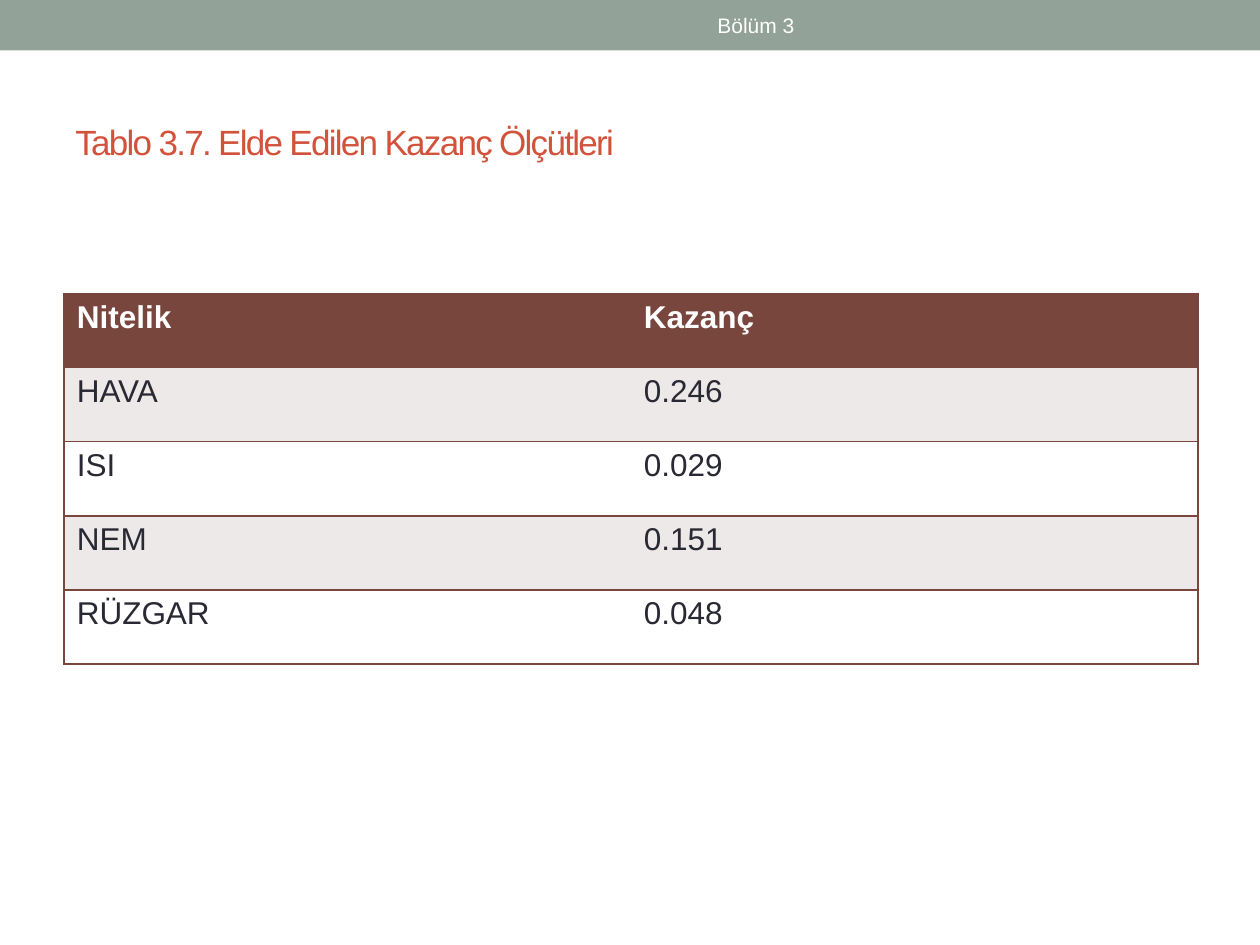
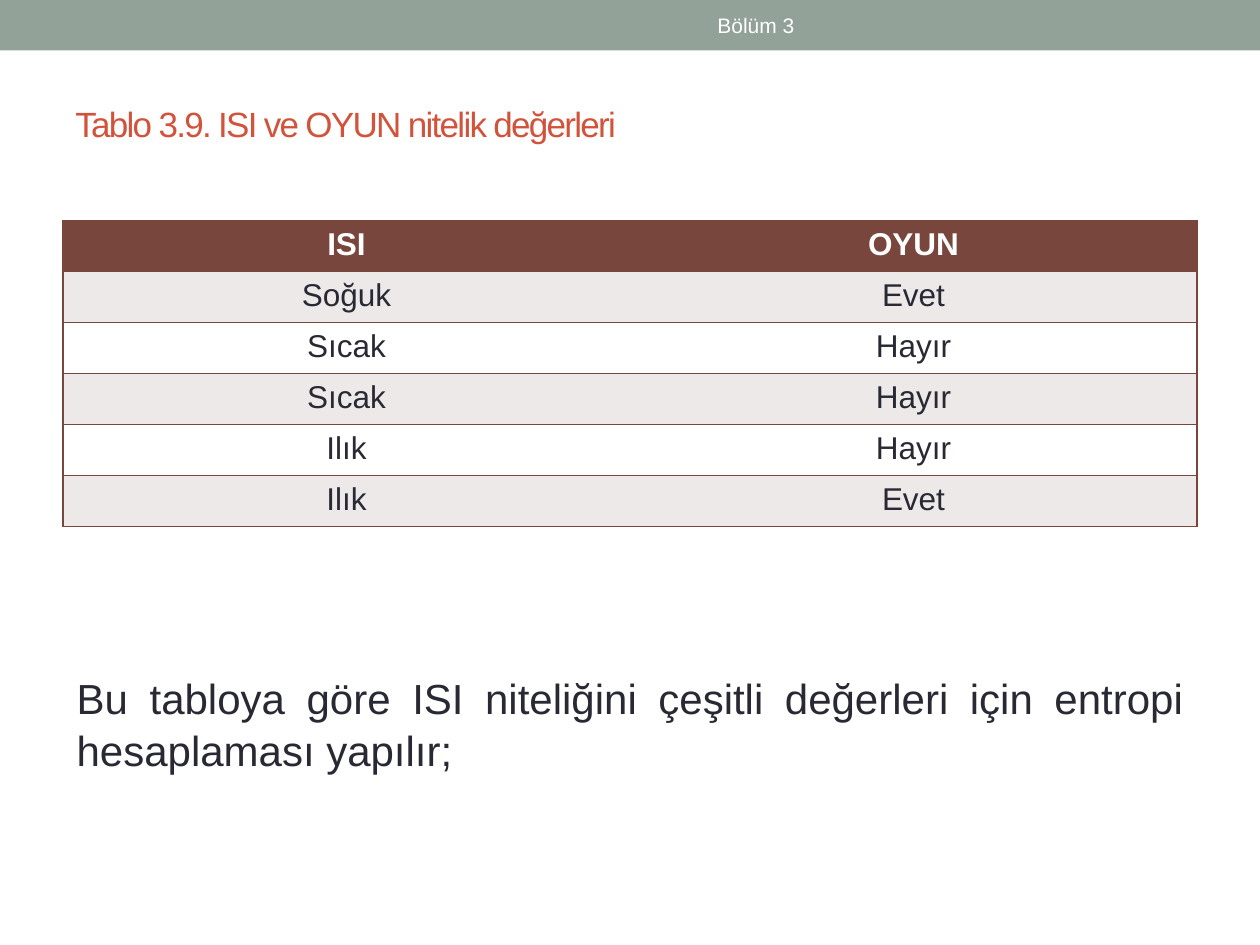
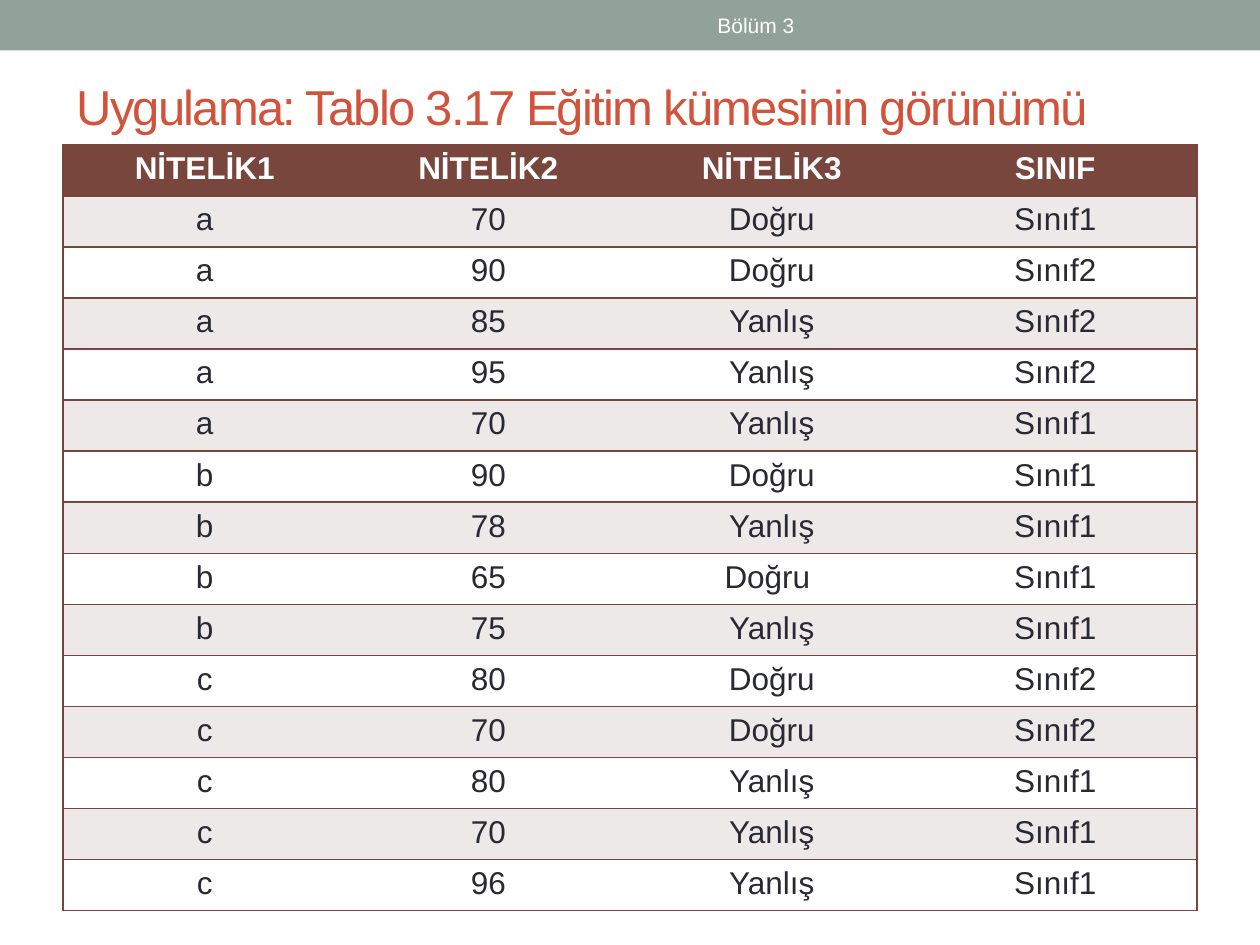
import dataclasses

import lxml.etree
import pptx
import pptx.dml.color
import pptx.enum.shapes
import pptx.enum.text
import pptx.oxml.ns
import pptx.util

Inches = pptx.util.Inches
ALIGN = pptx.enum.text.PP_ALIGN
ANCHOR = pptx.enum.text.MSO_ANCHOR


@dataclasses.dataclass(frozen=True)
class Theme:
    font: str = "Arial"
    band: str = "93A299"
    title: str = "D2533C"
    text: str = "292934"
    header: str = "79463D"
    stripe: str = "ECE9E8"
    white: str = "FFFFFF"
    section_size: int = 12
    cell_size: int = 18
    caption_size: int = 20
    body_size: int = 24
    heading_size: int = 28


THEME = Theme()

GAINS = [
    ("Nitelik", "Kazanç"),
    ("HAVA", "0.246"),
    ("ISI", "0.029"),
    ("NEM", "0.151"),
    ("RÜZGAR", "0.048"),
]

TEMPERATURES = [
    ("ISI", "OYUN"),
    ("Soğuk", "Evet"),
    ("Sıcak", "Hayır"),
    ("Sıcak", "Hayır"),
    ("Ilık", "Hayır"),
    ("Ilık", "Evet"),
]

TRAINING_SET = [
    ("NİTELİK1", "NİTELİK2", "NİTELİK3", "SINIF"),
    ("a", "70", "Doğru", "Sınıf1"),
    ("a", "90", "Doğru", "Sınıf2"),
    ("a", "85", "Yanlış", "Sınıf2"),
    ("a", "95", "Yanlış", "Sınıf2"),
    ("a", "70", "Yanlış", "Sınıf1"),
    ("b", "90", "Doğru", "Sınıf1"),
    ("b", "78", "Yanlış", "Sınıf1"),
    ("b", "65", "Doğru ", "Sınıf1"),
    ("b", "75", "Yanlış", "Sınıf1"),
    ("c", "80", "Doğru", "Sınıf2"),
    ("c", "70", "Doğru", "Sınıf2"),
    ("c", "80", "Yanlış", "Sınıf1"),
    ("c", "70", "Yanlış", "Sınıf1"),
    ("c", "96", "Yanlış", "Sınıf1"),
]


def rgb(color):
    return pptx.dml.color.RGBColor.from_string(color)


def write_text(frame, text, *, size, color, bold=False, align=ALIGN.LEFT,
               anchor=ANCHOR.TOP, tracking=None, line_spacing=None):
    frame.word_wrap = True
    frame.vertical_anchor = anchor
    paragraph = frame.paragraphs[0]
    paragraph.alignment = align
    if line_spacing:
        paragraph.line_spacing = line_spacing
    run = paragraph.add_run()
    run.text = text
    run.font.name = THEME.font
    run.font.size = pptx.util.Pt(size)
    run.font.bold = bold
    run.font.color.rgb = rgb(color)
    if tracking is not None:
        run.font._element.set("spc", str(tracking * 100))


def add_text(slide, box, text, **text_format):
    shape = slide.shapes.add_textbox(*map(Inches, box))
    write_text(shape.text_frame, text, **text_format)


def add_band(slide, box, section):
    left, top, width, height = box
    band = slide.shapes.add_shape(
        pptx.enum.shapes.MSO_SHAPE.RECTANGLE, *map(Inches, box))
    band.shadow.inherit = False
    band.fill.solid()
    band.fill.fore_color.rgb = rgb(THEME.band)
    band.line.fill.background()
    section_box = (left + width * 0.375, top + 0.02, width * 0.45, height - 0.04)
    add_text(slide, section_box, section, size=THEME.section_size,
             color=THEME.white, align=ALIGN.CENTER, anchor=ANCHOR.MIDDLE)


def set_borders(cell, visible_sides):
    properties = cell._tc.get_or_add_tcPr()
    for position, side in enumerate("LRTB"):
        line = lxml.etree.Element(
            pptx.oxml.ns.qn(f"a:ln{side}"), w=str(pptx.util.Pt(1)))
        if side in visible_sides:
            fill = lxml.etree.SubElement(line, pptx.oxml.ns.qn("a:solidFill"))
            lxml.etree.SubElement(
                fill, pptx.oxml.ns.qn("a:srgbClr"), val=THEME.header)
        else:
            lxml.etree.SubElement(line, pptx.oxml.ns.qn("a:noFill"))
        properties.insert(position, line)


def add_data_table(slide, box, rows, align):
    left, top, width, height = box
    last_column = len(rows[0]) - 1
    table = slide.shapes.add_table(
        len(rows), len(rows[0]), *map(Inches, box)).table
    for column in table.columns:
        column.width = Inches(width / len(rows[0]))
    for row_index, values in enumerate(rows):
        table.rows[row_index].height = Inches(height / len(rows))
        is_header = row_index == 0
        body_fill = THEME.stripe if row_index % 2 else THEME.white
        for column_index, value in enumerate(values):
            cell = table.cell(row_index, column_index)
            cell.fill.solid()
            cell.fill.fore_color.rgb = rgb(THEME.header if is_header else body_fill)
            sides = "TB"
            if column_index == 0:
                sides += "L"
            if column_index == last_column:
                sides += "R"
            set_borders(cell, sides)
            write_text(cell.text_frame, value, size=THEME.cell_size,
                       color=THEME.white if is_header else THEME.text,
                       bold=is_header, align=align)


def add_table_slide(presentation, title, title_box, rows, table_box,
                    title_size=THEME.caption_size, align=ALIGN.CENTER):
    slide = presentation.slides.add_slide(presentation.slide_layouts[6])
    add_band(slide, (0, 0, 10, 0.4), "Bölüm 3")
    add_text(slide, title_box, title, size=title_size, color=THEME.title,
             anchor=ANCHOR.MIDDLE, tracking=-1)
    add_data_table(slide, table_box, rows, align)
    return slide


def main():
    presentation = pptx.Presentation()
    presentation.slide_width = Inches(10)
    presentation.slide_height = Inches(7.5)

    add_table_slide(presentation, "Tablo 3.7. Elde Edilen Kazanç Ölçütleri",
                    (0.5, 0.58, 9, 1.08), GAINS, (0.51, 2.33, 9, 2.94),
                    align=ALIGN.LEFT)

    temperature_slide = add_table_slide(
        presentation, "Tablo 3.9. ISI ve OYUN nitelik değerleri",
        (0.5, 0.58, 9, 0.8), TEMPERATURES, (0.5, 1.75, 9, 2.43))
    add_text(temperature_slide, (0.51, 5.27, 8.98, 0.91),
             "Bu tabloya göre ISI niteliğini çeşitli değerleri için entropi "
             "hesaplaması yapılır;",
             size=THEME.body_size, color=THEME.text, align=ALIGN.JUSTIFY,
             line_spacing=1.04)

    add_table_slide(presentation, "Uygulama: Tablo 3.17 Eğitim kümesinin görünümü",
                    (0.51, 0.44, 9, 0.8), TRAINING_SET, (0.5, 1.15, 9, 6.08),
                    title_size=THEME.heading_size)

    presentation.save("out.pptx")


if __name__ == "__main__":
    main()
